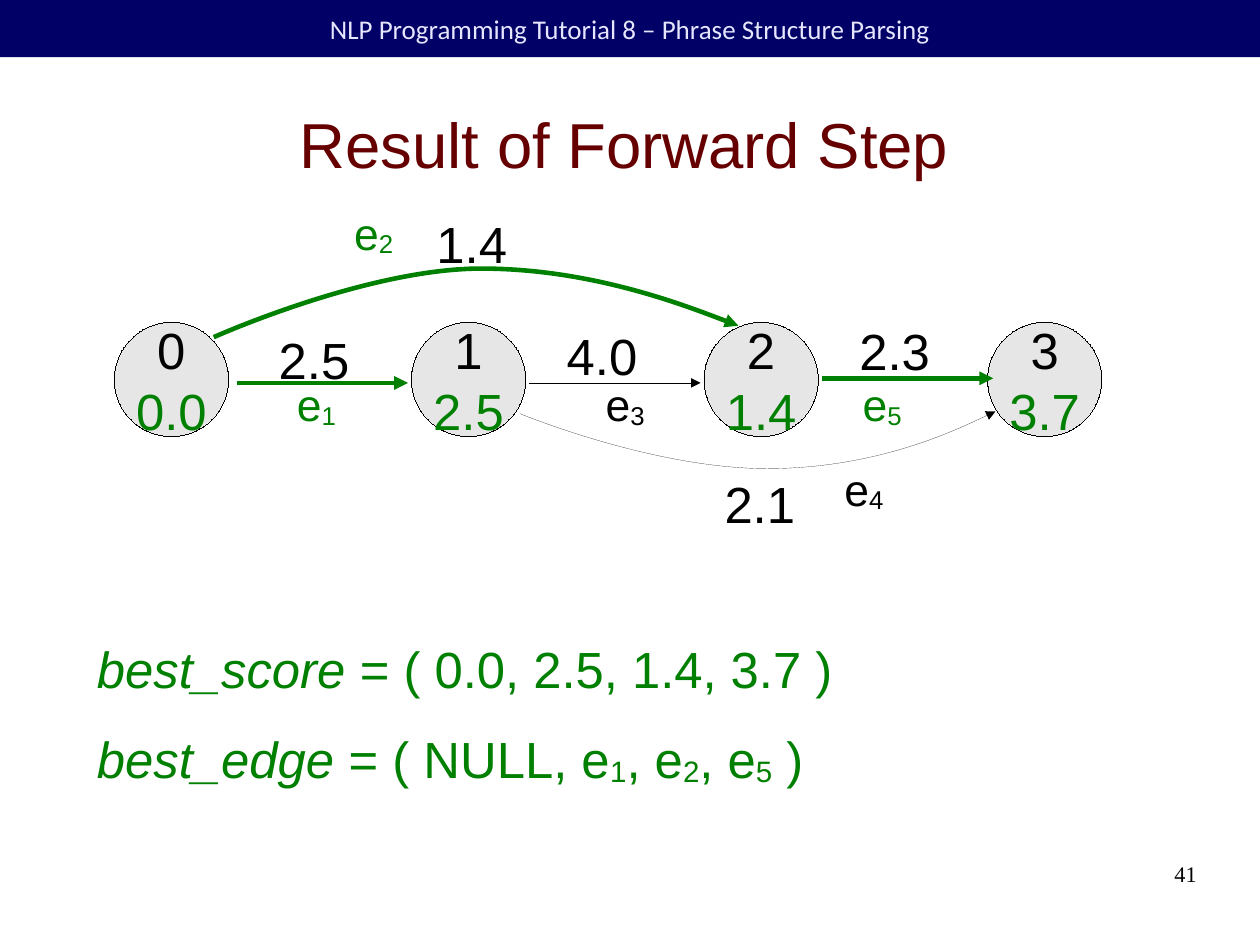
from lxml import etree
from pptx import Presentation
from pptx import util as u
from pptx.dml.color import RGBColor
from pptx.enum import shapes, text
from pptx.oxml.ns import qn

NAVY = RGBColor(0x00, 0x00, 0x66)
PALE = RGBColor(0xE6, 0xE6, 0xFF)
MAROON = RGBColor(0x66, 0x00, 0x00)
GREY = RGBColor(0xE6, 0xE6, 0xE6)
BLACK = RGBColor(0x00, 0x00, 0x00)
GREEN = RGBColor(0x00, 0x80, 0x00)

LEFT, MID, RIGHT = text.PP_ALIGN.LEFT, text.PP_ALIGN.CENTER, text.PP_ALIGN.RIGHT
THICK = 2.89
WIDE, HIGH = 28 / 2.54, 21 / 2.54  # 28 by 21 cm


def write(frame, *lines, size=32, font="Arial", color=BLACK, align=LEFT,
          wrap=False, anchor=text.MSO_ANCHOR.TOP, inset=None):
    """Fill a frame; a line is a list of (text, style), style "", "i" or "sub"."""
    frame.word_wrap = wrap
    frame.vertical_anchor = anchor
    if inset is not None:
        frame.margin_left = frame.margin_right = u.Inches(inset)
        frame.margin_top = frame.margin_bottom = u.Inches(inset)
    colors = color if isinstance(color, list) else [color] * len(lines)
    for i, (line, tint) in enumerate(zip(lines, colors)):
        para = frame.paragraphs[0] if i == 0 else frame.add_paragraph()
        para.alignment = align
        for words, style in [(line, "")] if isinstance(line, str) else line:
            run = para.add_run()
            run.text = words
            run.font.size = u.Pt(size)
            run.font.name = font
            run.font.color.rgb = tint
            if style == "i":
                run.font.italic = True
            elif style == "sub":
                run._r.get_or_add_rPr().set("baseline", "-8000")


def edge(num, lead=""):
    return [(lead + "e", ""), (str(num), "sub")]


class Board:
    def __init__(self, slide):
        self.shapes = slide.shapes

    def label(self, words, left, top, width, height, **style):
        box = self.shapes.add_textbox(*map(u.Inches, (left, top, width, height)))
        write(box.text_frame, words, **style)

    def solid(self, kind, left, top, width, height, fill):
        shape = self.shapes.add_shape(kind, *map(u.Inches, (left, top, width, height)))
        shape.shadow.inherit = False
        shape.fill.solid()
        shape.fill.fore_color.rgb = fill
        shape.line.fill.background()
        return shape

    def banner(self, words):
        bar = self.solid(shapes.MSO_SHAPE.RECTANGLE, 0, 0, WIDE, 0.5, NAVY)
        write(bar.text_frame, words, size=17, font="Calibri", color=PALE,
              align=MID, wrap=True, anchor=text.MSO_ANCHOR.MIDDLE)

    def node(self, left, name, score):
        disc = self.solid(shapes.MSO_SHAPE.OVAL, left, 2.82, 1, 1, GREY)
        self.stroke(disc, BLACK, 0)
        write(disc.text_frame, name, score, color=[BLACK, GREEN], align=MID,
              anchor=text.MSO_ANCHOR.MIDDLE)

    def stroke(self, shape, color, width, head=False):
        shape.line.color.rgb = color
        line = shape.line._get_or_add_ln()
        # A zero width must be written out, or the theme's width applies.
        line.set("w", str(int(u.Pt(width))))
        if head:
            etree.SubElement(line, qn("a:tailEnd"), type="triangle")

    def arrow(self, left, y, color, width):
        line = self.shapes.add_connector(
            shapes.MSO_CONNECTOR.STRAIGHT,
            *map(u.Inches, (left, y, left + 1.5, y)))
        self.stroke(line, color, width, head=True)
        etree.SubElement(line._element.spPr, qn("a:effectLst"))

    def curve(self, points, color, width):
        """Draw a start point and triples of Bezier control points."""
        spots = [(u.Inches(x), u.Inches(y)) for x, y in points]
        form = self.shapes.build_freeform(*spots[0])
        form.add_line_segments(spots[1:], close=False)
        shape = form.convert_to_shape()
        shape.shadow.inherit = False
        shape.fill.background()
        track = next(shape._element.iter(qn("a:path")))
        steps = track.findall(qn("a:lnTo"))
        for i in range(0, len(steps), 3):
            bend = etree.SubElement(track, qn("a:cubicBezTo"))
            for step in steps[i:i + 3]:
                bend.append(step[0])
                track.remove(step)
        self.stroke(shape, color, width, head=True)


def main():
    deck = Presentation()
    deck.slide_width, deck.slide_height = u.Inches(WIDE), u.Inches(HIGH)
    board = Board(deck.slides.add_slide(deck.slide_layouts[6]))

    board.banner("NLP Programming Tutorial 8 – Phrase Structure Parsing")
    board.label("Result of Forward Step", 0.5, 0.62, 9.92, 1.27, size=40,
                color=MAROON, align=MID, wrap=True, inset=0,
                anchor=text.MSO_ANCHOR.MIDDLE)

    scores = ["0.0", "2.5", "1.4", "3.7"]
    for i, (left, score) in enumerate(zip([1, 3.6, 6.16, 8.64], scores)):
        board.node(left, str(i), score)

    for cost, left, top in [("2.5", 2.34, 2.83), ("4.0", 4.86, 2.79),
                            ("2.3", 7.42, 2.75), ("2.1", 6.24, 4.09),
                            ("1.4", 3.72, 1.81)]:
        board.label(cost, left, top, 0.82, 0.6)

    board.curve([(4.55, 3.62), (4.55, 3.62), (5.71, 4.1), (6.71, 4.1),
                 (7.71, 4.1), (8.71, 3.6), (8.71, 3.6)], BLACK, 0)
    board.curve([(1.87, 2.95), (1.87, 2.95), (3.21, 2.35), (4.21, 2.35),
                 (5.21, 2.35), (6.46, 2.85), (6.46, 2.85)], GREEN, THICK)
    board.arrow(4.63, 3.35, BLACK, 0)
    board.arrow(7.19, 3.31, GREEN, THICK)
    board.arrow(2.07, 3.35, GREEN, THICK)

    for num, left, top, color in [(1, 2.5, 3.25, GREEN), (2, 3, 1.75, GREEN),
                                  (3, 5.2, 3.25, BLACK), (5, 7.45, 3.25, GREEN),
                                  (4, 7.29, 3.99, BLACK)]:
        board.label(edge(num), left, top, 0.54, 0.66, size=28, color=color)

    board.label([("best_score", "i"), (f" = ( {', '.join(scores)} )", "")],
                0.75, 5.53, 6.65, 0.6, color=GREEN)
    board.label([("best_edge", "i"), *edge(1, " = ( NULL, "), *edge(2, ", "),
                 *edge(5, ", "), (" )", "")], 0.75, 6.32, 6.39, 0.74, color=GREEN)
    board.label("41", 7.9, 7.53, 2.57, 0.57, size=14, font="Times New Roman",
                align=RIGHT, wrap=True, inset=0)
    deck.save("out.pptx")


if __name__ == "__main__":
    main()
